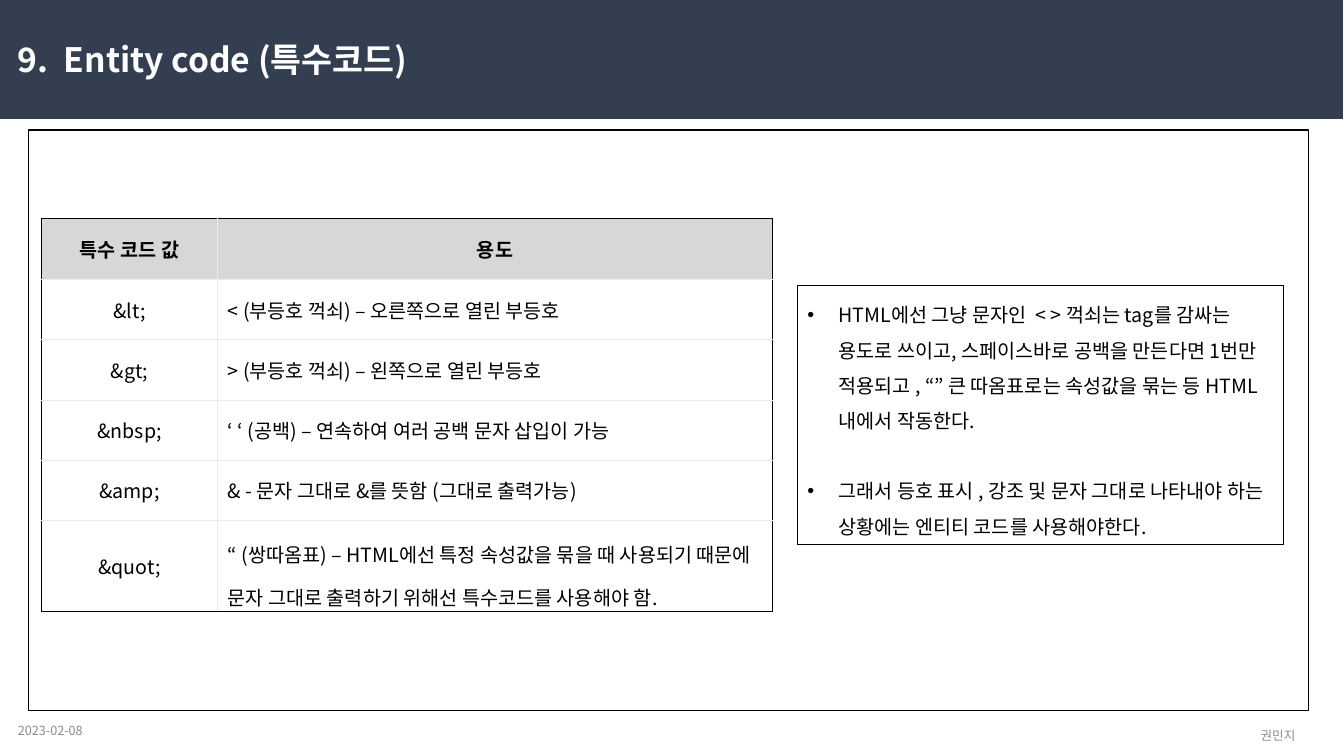
from lxml.etree import SubElement
from pptx import Presentation
from pptx.dml.color import RGBColor
from pptx.enum.shapes import MSO_SHAPE
from pptx.enum.text import MSO_ANCHOR, MSO_AUTO_SIZE, PP_ALIGN
from pptx.oxml import parse_xml
from pptx.oxml.ns import nsdecls, qn
from pptx.util import Inches, Pt

FONT = "Noto Sans CJK KR"
BLACK, GREY, PALE = "000000", "8C8C8C", "E9EBEC"


def rgb(code):
    return RGBColor.from_string(code)


def style(para, size, color, bold=False):
    for run in para.runs:
        font = run.font
        font.name, font.size, font.bold = FONT, Pt(size), bold
        font.color.rgb = rgb(color)
        SubElement(font._element, qn("a:ea")).set("typeface", FONT)


deck = Presentation()
deck.slide_width, deck.slide_height = Inches(13.33), Inches(7.5)
slide = deck.slides.add_slide(deck.slide_layouts[6])
shapes = slide.shapes

# Title band, page frame and note box
rects = []
for x, y, w, h, fill, line in [
    (0, 0, 13.32, 1.18, "333F50", None),
    (0.28, 1.29, 12.7, 5.76, None, BLACK),
    (7.91, 2.83, 4.82, 2.57, None, BLACK),
]:
    rect = shapes.add_shape(MSO_SHAPE.RECTANGLE, Inches(x), Inches(y), Inches(w), Inches(h))
    rect.shadow.inherit = False
    if fill:
        rect.fill.solid()
        rect.fill.fore_color.rgb = rgb(fill)
    else:
        rect.fill.background()
    if line:
        rect.line.color.rgb = rgb(line)
        rect.line.width = Pt(0.75)
    else:
        rect.line.fill.background()
    rects.append(rect)

# Title and footer
for x, y, w, h, text, size, color, align in [
    (0.08, 0.34, 4.24, 0.5, "9.  Entity code (특수코드)", 24, "FFFFFF", PP_ALIGN.LEFT),
    (0.08, 7.05, 3, 0.4, "2023-02-08", 9, GREY, PP_ALIGN.LEFT),
    (12.03, 7.1, 1.29, 0.4, "권민지", 9, GREY, PP_ALIGN.CENTER),
]:
    frame = shapes.add_textbox(Inches(x), Inches(y), Inches(w), Inches(h)).text_frame
    title = size == 24
    frame.word_wrap = not title
    frame.vertical_anchor = MSO_ANCHOR.TOP if title else MSO_ANCHOR.MIDDLE
    if title:
        frame.auto_size = MSO_AUTO_SIZE.SHAPE_TO_FIT_TEXT
    para = frame.paragraphs[0]
    para.text = text
    para.alignment = align
    style(para, size, color, title)

# Entity table
rows = [
    ("특수 코드 값", "용도"),
    ("&lt;", "< (부등호 꺽쇠) – 오른쪽으로 열린 부등호"),
    ("&gt;", "> (부등호 꺽쇠) – 왼쪽으로 열린 부등호"),
    ("&nbsp;", "‘ ‘ (공백) – 연속하여 여러 공백 문자 삽입이 가능"),
    ("&amp;", "& - 문자 그대로 &를 뜻함 (그대로 출력가능)"),
    ("&quot;", "“ (쌍따옴표) – HTML에선 특정 속성값을 묶을 때 사용되기 때문에 "
               "문자 그대로 출력하기 위해선 특수코드를 사용해야 함."),
]
last = len(rows) - 1
table = shapes.add_table(len(rows), 2, Inches(0.41), Inches(2.17), Inches(7.25), Inches(3.89)).table
table.first_row = table.horz_banding = False
for col, width in zip(table.columns, (1.75, 5.5)):
    col.width = Inches(width)
for row, height in zip(table.rows, (0.6, 0.6, 0.6, 0.6, 0.59, 0.91)):
    row.height = Inches(height)

for r, row in enumerate(rows):
    for c, text in enumerate(row):
        cell = table.cell(r, c)
        cell.vertical_anchor = MSO_ANCHOR.MIDDLE
        para = cell.text_frame.paragraphs[0]
        para.text = text
        para.alignment = PP_ALIGN.CENTER if c == 0 or r == 0 else PP_ALIGN.LEFT
        if r == last and c == 1:
            para.line_spacing = 1.5
        style(para, 14, BLACK, r == 0)
        if r == 0:
            cell.fill.solid()
            cell.fill.fore_color.rgb = rgb("D8D7D7")
        else:
            cell.fill.background()
        # Black outer edge, pale inner lines
        outer = [("L", c == 0), ("R", c == 1), ("T", r == 0), ("B", r == last)]
        for i, (side, edge) in enumerate(outer):
            color, width = (BLACK, Pt(1)) if edge else (PALE, Pt(0.75))
            cell._tc.get_or_add_tcPr().insert(i, parse_xml(
                f'<a:ln{side} {nsdecls("a")} w="{width}"><a:solidFill>'
                f'<a:srgbClr val="{color}"/></a:solidFill></a:ln{side}>'))

# Bulleted notes
notes = [
    "HTML에선 그냥 문자인  < > 꺽쇠는 tag를 감싸는 용도로 쓰이고, 스페이스바로 공백을 만든다면 "
    "1번만 적용되고 , “” 큰 따옴표로는 속성값을 묶는 등 HTML내에서 작동한다.",
    "그래서 등호 표시 , 강조 및 문자 그대로 나타내야 하는 상황에는 엔티티 코드를 사용해야한다.",
]
frame = rects[2].text_frame
frame.word_wrap = True
frame.auto_size = MSO_AUTO_SIZE.SHAPE_TO_FIT_TEXT
frame.vertical_anchor = MSO_ANCHOR.MIDDLE
for i, note in enumerate(notes):
    para = frame.add_paragraph() if i else frame.paragraphs[0]
    para.text = note
    props = para._p.get_or_add_pPr()
    props.set("marL", str(Inches(0.31)))
    props.set("indent", str(-Inches(0.31)))
    SubElement(props, qn("a:buFont")).set("typeface", "Arial")
    SubElement(props, qn("a:buChar")).set("char", "•")
    para.alignment = PP_ALIGN.LEFT
    para.line_spacing = 1.5
    if i:
        para.space_before = Pt(25)
    style(para, 14, BLACK)

deck.save("out.pptx")
